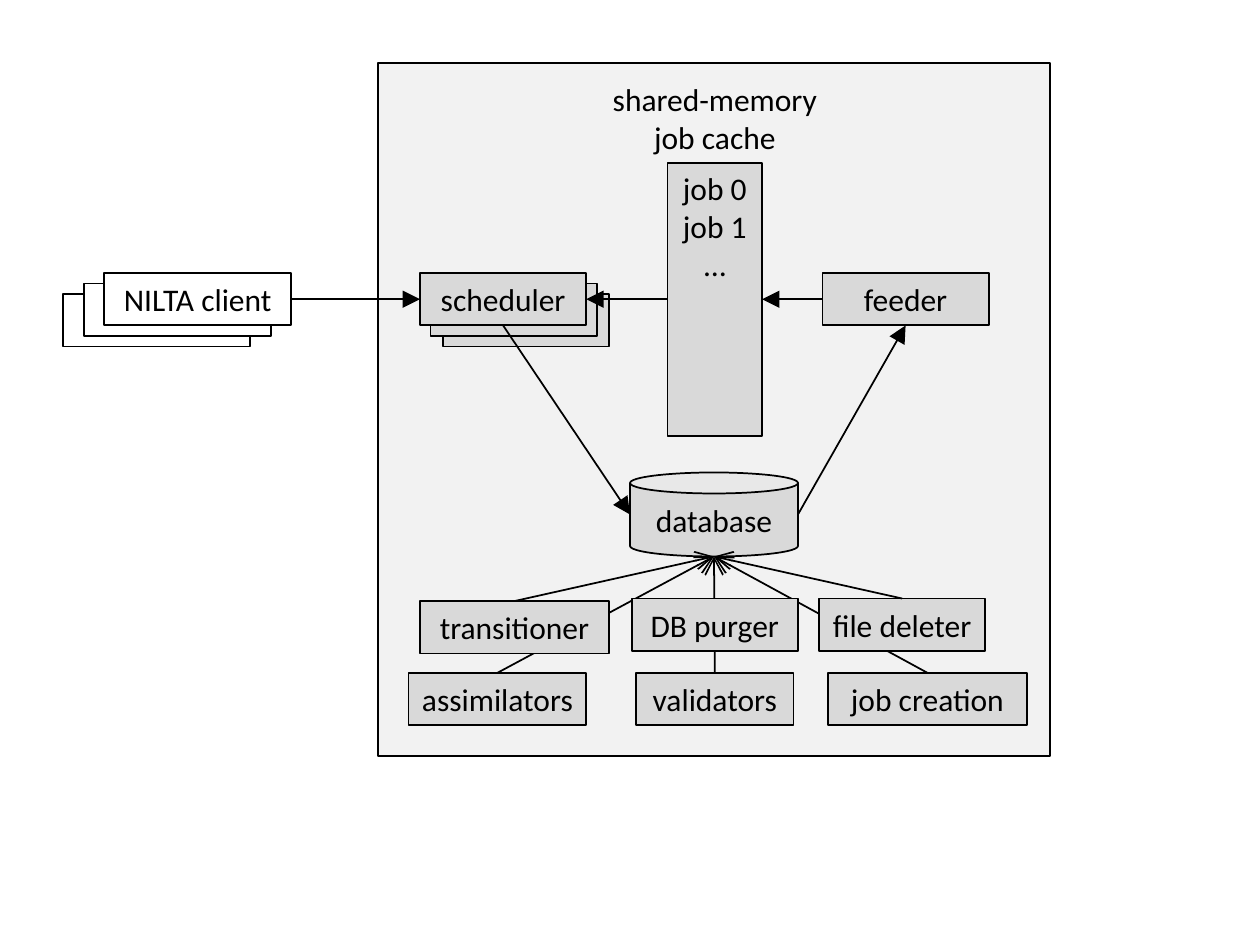
from lxml import etree
from pptx import Presentation
from pptx.dml.color import RGBColor
from pptx.enum.shapes import MSO_CONNECTOR, MSO_SHAPE
from pptx.enum.text import MSO_ANCHOR, MSO_AUTO_SIZE, PP_ALIGN
from pptx.oxml.ns import qn
from pptx.util import Pt

RECT, CAN, STRAIGHT = MSO_SHAPE.RECTANGLE, MSO_SHAPE.CAN, MSO_CONNECTOR.STRAIGHT
TOP, MIDDLE = MSO_ANCHOR.TOP, MSO_ANCHOR.MIDDLE
CENTER, GROW = PP_ALIGN.CENTER, MSO_AUTO_SIZE.SHAPE_TO_FIT_TEXT

WHITE = RGBColor(0xFF, 0xFF, 0xFF)
BLACK = RGBColor(0, 0, 0)
PALE = RGBColor(0xF2, 0xF2, 0xF2)
GRAY = RGBColor(0xD9, 0xD9, 0xD9)


def write(tf, text, font="Calibri", size=18, color=BLACK, align=CENTER, anchor=MIDDLE, wrap=True):
    """Fill a text frame, one paragraph per line of text."""
    tf.word_wrap = wrap
    tf.vertical_anchor = anchor
    for i, line in enumerate(text.split("\n")):
        p = tf.paragraphs[0] if i == 0 else tf.add_paragraph()
        p.alignment = align
        r = p.add_run()
        r.text = line
        r.font.name, r.font.size = font, Pt(size)
        r.font.color.rgb = color


class Diagram:
    """Draw boxes, labels and arrows in one style on a slide."""

    def __init__(self, slide, line=BLACK, weight=1):
        self.shapes, self.line, self.weight = slide.shapes, line, weight

    def outline(self, line):
        line.color.rgb = self.line
        line.width = Pt(self.weight)

    def box(self, x, y, w, h=30, text="", fill=GRAY, kind=RECT, anchor=MIDDLE):
        sp = self.shapes.add_shape(kind, Pt(x), Pt(y), Pt(w), Pt(h))
        sp.shadow.inherit = False
        sp.fill.solid()
        sp.fill.fore_color.rgb = fill
        self.outline(sp.line)
        if text:
            write(sp.text_frame, text, anchor=anchor, wrap=False)

    def label(self, x, y, w, h, text):
        sp = self.shapes.add_textbox(Pt(x), Pt(y), Pt(w), Pt(h))
        write(sp.text_frame, text, anchor=TOP)
        sp.text_frame.auto_size = GROW

    def arrow(self, start, end, head="triangle"):
        cxn = self.shapes.add_connector(STRAIGHT, *(Pt(v) for v in (*start, *end)))
        self.outline(cxn.line)
        ln = cxn.line._get_or_add_ln()
        etree.SubElement(ln, qn("a:tailEnd"), type=head, w="lg", len="lg")
        etree.SubElement(cxn._element.spPr, qn("a:effectLst"))


def main():
    """Build the server architecture slide."""
    prs = Presentation()
    prs.slide_width, prs.slide_height = Pt(720), Pt(540)
    s = Diagram(prs.slides.add_slide(prs.slide_layouts[6]))

    top, axis, bottom = 156, 171, 186
    db_foot = (408, 318)
    upper_jobs = [("transitioner", 240, 343.5, 108), ("DB purger", 361, 342, 95),
                  ("file deleter", 468, 342, 95)]
    lower_jobs = [("assimilators", 233.5, 384.5, 101.5), ("validators", 363.5, 384.5, 90),
                  ("job creation", 473, 384.5, 114)]

    for x, y in ((36, 168), (48, 162)):
        s.box(x, y, 107, fill=WHITE)
    s.box(216, 36, 384, 396, fill=PALE)
    for _, x, y, w in lower_jobs:
        s.arrow((x + w / 2, y), db_foot, "arrow")

    for x, y in ((253, 168), (246, 162)):
        s.box(x, y, 95)
    s.box(240, top, 95, text="scheduler")
    s.box(360, 270, 96, 48, "database", kind=CAN)
    for text, x, y, w in upper_jobs + lower_jobs:
        s.box(x, y, w, text=text)
    s.box(470, top, 95, text="feeder")
    s.box(381.5, 93, 54, 156, "job 0\njob 1\n…", anchor=TOP)
    s.label(327.5, 42, 162, 51, "shared-memory\njob cache")
    s.box(59.5, top, 107, text="NILTA client", fill=WHITE)

    for start, end in (((166.5, axis), (240, axis)), ((470, axis), (435.5, axis)),
                       ((381.5, axis), (335, axis)), ((456, 294), (517.5, bottom)),
                       ((287.5, bottom), (360, 294))):
        s.arrow(start, end)
    for _, x, y, w in (upper_jobs[0], upper_jobs[2]):
        s.arrow((x + w / 2, y), db_foot, "arrow")

    prs.save("out.pptx")


main()
